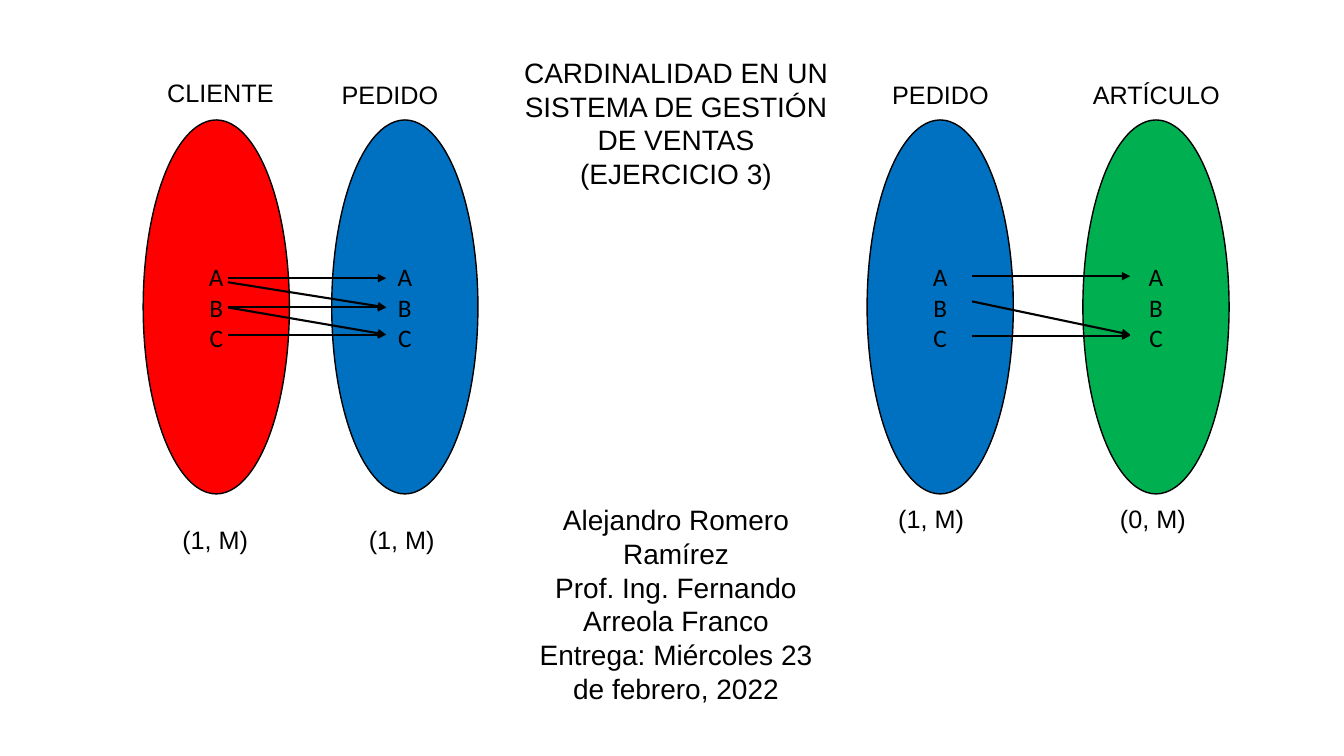
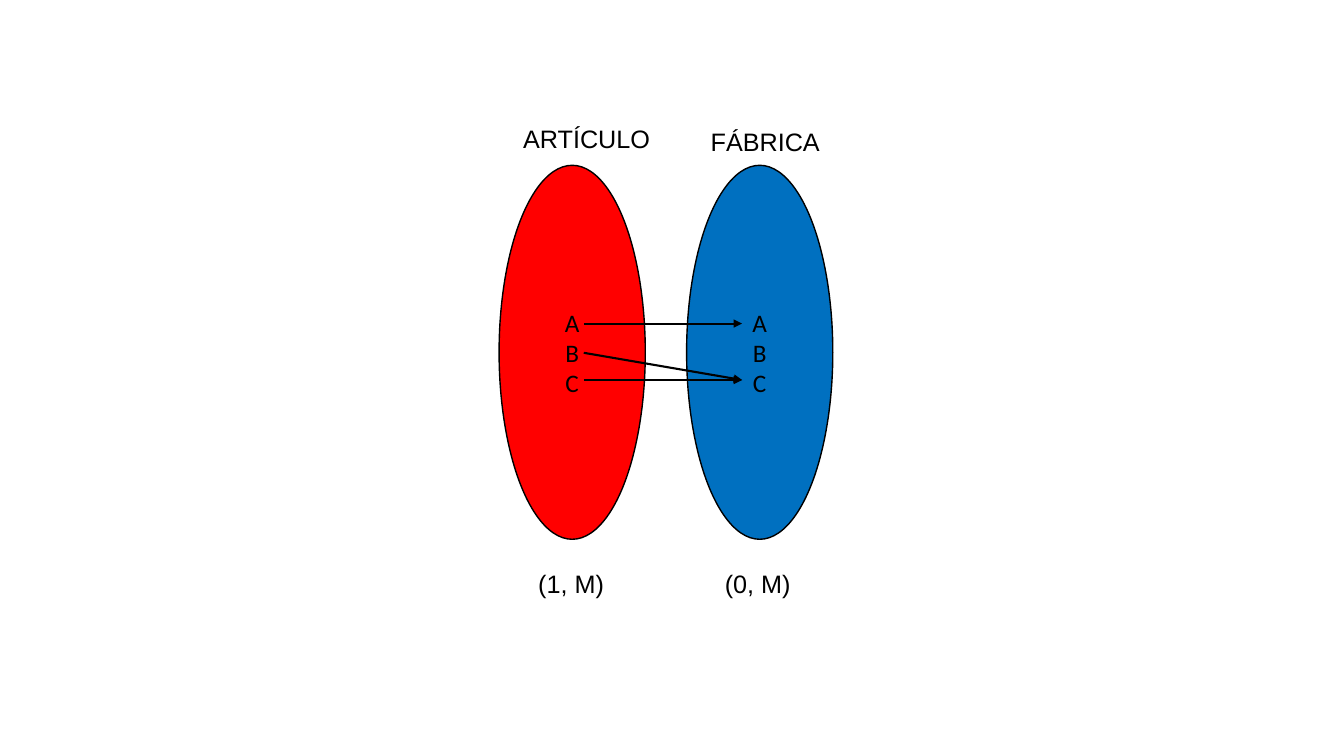
"""Build two slides of cardinality diagrams for a sales system."""
from pptx import Presentation
from pptx.dml.color import RGBColor
from pptx.enum.shapes import MSO_CONNECTOR as LINE, MSO_SHAPE as SHAPE
from pptx.enum.text import MSO_ANCHOR as ANCHOR, MSO_AUTO_SIZE as AUTO, PP_ALIGN as ALIGN
from pptx.oxml.ns import qn
from pptx.util import Inches, Pt
from lxml.etree import SubElement

BLACK = RGBColor(0, 0, 0)
RED = RGBColor(0xFF, 0, 0)
BLUE = RGBColor(0, 0x70, 0xC0)
GREEN = RGBColor(0, 0xB0, 0x50)

OVAL_W, OVAL_H = 1.45, 3.71
NAME_W, CARD_W, LABEL_H = 1.58, 1.03, 0.4
REACH = 1.57
MID_X, MID_W = 5.08, 3.25

ITEMS = ["A", "B", "C"]
TITLE = ["CARDINALIDAD EN UN SISTEMA DE GESTIÓN DE VENTAS", "(EJERCICIO 3)"]
CREDIT = [
    "Alejandro Romero Ramírez",
    "Prof. Ing. Fernando Arreola Franco",
    "Entrega: Miércoles 23 de febrero, 2022",
]

# fmt: off
SALES = [
    dict(top=1.19, tail=0.84, card_y=3.96,
         sets=[dict(name="CLIENTE", x=1.42, fill=RED, name_at=(0.14, -0.47), card="(1, M)", card_x=0.29),
               dict(name="PEDIDO", x=3.29, fill=BLUE, name_at=(0, -0.45), card="(1, M)", card_x=0.27)],
         arrows=[(1.57, 1.57), (1.86, 1.86), (2.13, 2.13), (1.61, 1.86), (1.86, 2.13)]),
    dict(top=1.19, tail=1.04, card_y=3.75,
         sets=[dict(name="PEDIDO", x=8.6, fill=BLUE, name_at=(0.15, -0.45), card="(1, M)", card_x=0.21),
               dict(name="ARTÍCULO", x=10.74, fill=GREEN, name_at=(0, -0.45), card="(0, M)", card_x=0.27)],
         arrows=[(1.55, 1.55), (1.8, 2.13), (2.14, 2.14)]),
]
PLANT = [
    dict(top=1.64, tail=0.84, card_y=3.95,
         sets=[dict(name="ARTÍCULO", x=4.95, fill=RED, name_at=(0.14, -0.47), card="(1, M)", card_x=0.29),
               dict(name="FÁBRICA", x=6.81, fill=BLUE, name_at=(0.14, -0.44), card="(0, M)", card_x=0.28)],
         arrows=[(1.57, 1.57), (2.13, 2.13), (1.86, 2.13)]),
]
# fmt: on


def write(shape, lines, size=18, font="Arial", align=ALIGN.LEFT, anchor=ANCHOR.TOP):
    frame = shape.text_frame
    frame.word_wrap = True
    frame.auto_size = AUTO.NONE
    frame.vertical_anchor = anchor
    frame.text = "\n".join(lines)
    for par in frame.paragraphs:
        par.alignment = align
        for run in par.runs:
            run.font.size = Pt(size)
            run.font.name = font
            run.font.color.rgb = BLACK


def add_text(slide, x, y, w, h, lines, **style):
    box = slide.shapes.add_textbox(Inches(x), Inches(y), Inches(w), Inches(h))
    write(box, lines, **style)


def add_oval(slide, x, y, fill):
    oval = slide.shapes.add_shape(
        SHAPE.OVAL, Inches(x), Inches(y), Inches(OVAL_W), Inches(OVAL_H))
    oval.shadow.inherit = False
    oval.fill.solid()
    oval.fill.fore_color.rgb = fill
    oval.line.color.rgb = BLACK
    oval.line.width = Pt(1)
    write(oval, ITEMS, font="Calibri", align=ALIGN.CENTER, anchor=ANCHOR.MIDDLE)


def add_arrow(slide, x, start, end):
    arrow = slide.shapes.add_connector(
        LINE.STRAIGHT, Inches(x), Inches(start), Inches(x + REACH), Inches(end))
    arrow.line.color.rgb = BLACK
    arrow.line.width = Pt(1.5)
    props = arrow.element.spPr
    SubElement(props.find(qn("a:ln")), qn("a:tailEnd"), type="triangle")
    SubElement(props, qn("a:effectLst"))


def add_pair(slide, pair):
    top = pair["top"]
    for item in pair["sets"]:
        x = item["x"]
        dx, dy = item["name_at"]
        add_oval(slide, x, top, item["fill"])
        add_text(slide, x + dx, top + dy, NAME_W, LABEL_H, [item["name"]])
        add_text(slide, x + item["card_x"], top + pair["card_y"],
                 CARD_W, LABEL_H, [item["card"]])
    tail_x = pair["sets"][0]["x"] + pair["tail"]
    for start, end in pair["arrows"]:
        add_arrow(slide, tail_x, top + start, top + end)


def add_title(slide, lines):
    title = slide.shapes.title
    title.left, title.top = Inches(MID_X), Inches(0.5)
    title.width, title.height = Inches(MID_W), Inches(1.45)
    write(title, lines, size=20, align=ALIGN.CENTER)


def main():
    deck = Presentation()
    deck.slide_width, deck.slide_height = Inches(13.33), Inches(7.5)
    title_only, blank = deck.slide_layouts[5], deck.slide_layouts[6]

    sales = deck.slides.add_slide(title_only)
    add_title(sales, TITLE)
    add_text(sales, MID_X, 4.94, MID_W, 2.12, CREDIT, size=20, align=ALIGN.CENTER)
    plant = deck.slides.add_slide(blank)

    for slide, pairs in ((sales, SALES), (plant, PLANT)):
        for pair in pairs:
            add_pair(slide, pair)
    deck.save("out.pptx")


if __name__ == "__main__":
    main()
